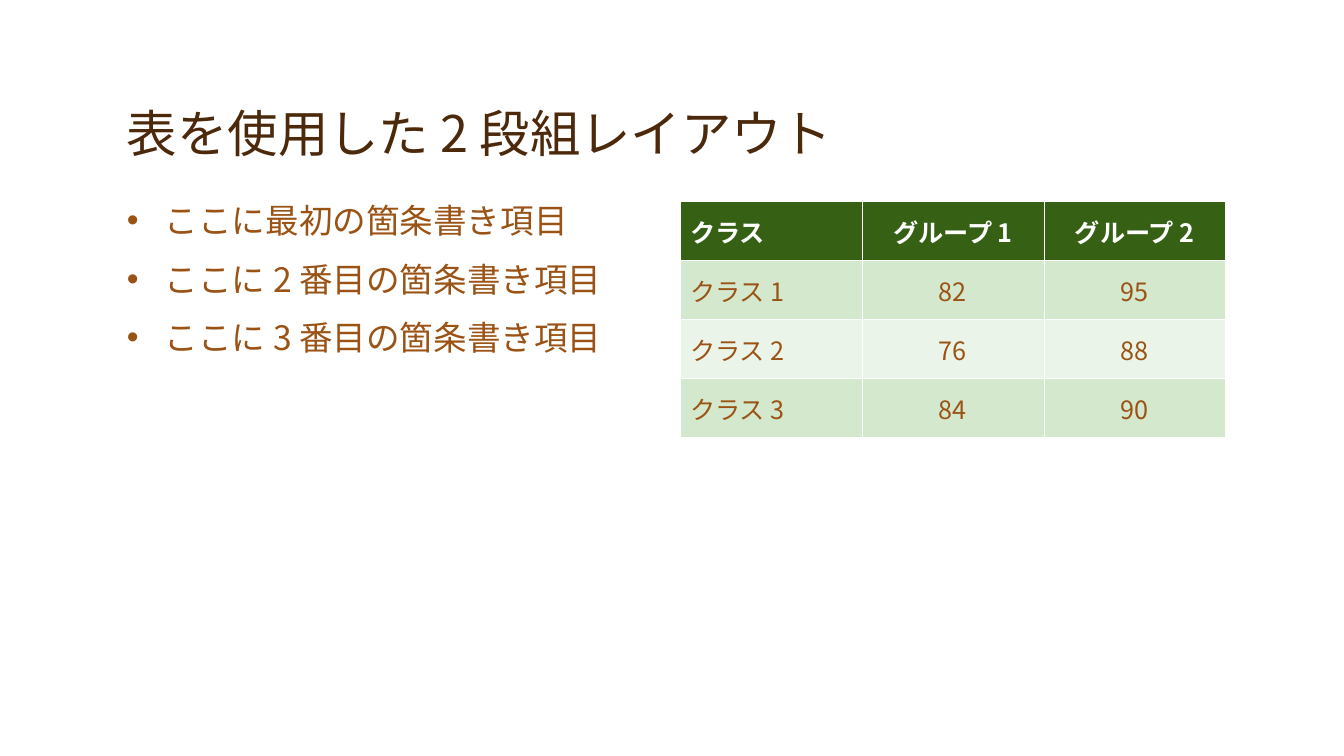
from lxml.etree import SubElement
from pptx import Presentation
from pptx.dml.color import RGBColor
from pptx.enum.text import MSO_ANCHOR, MSO_AUTO_SIZE, PP_ALIGN
from pptx.oxml.ns import qn
from pptx.util import Pt

FONT = "Noto Sans CJK JP"
DARK_BROWN = RGBColor(0x4D, 0x29, 0x0B)
BROWN = RGBColor(0x9A, 0x53, 0x15)
GREEN = RGBColor(0x36, 0x60, 0x13)
BAND_DARK = RGBColor(0xD4, 0xE8, 0xCD)
BAND_LIGHT = RGBColor(0xEB, 0xF4, 0xE8)
WHITE = RGBColor(0xFF, 0xFF, 0xFF)

TITLE = "表を使用した 2 段組レイアウト"
BULLETS = [
    "ここに最初の箇条書き項目",
    "ここに 2 番目の箇条書き項目",
    "ここに 3 番目の箇条書き項目",
]
SCORES = [
    ["クラス", "グループ 1", "グループ 2"],
    ["クラス 1", "82", "95"],
    ["クラス 2", "76", "88"],
    ["クラス 3", "84", "90"],
]


def set_attrs(obj, values):
    for name, value in values.items():
        setattr(obj, name, value)


def place(sp, left, top, width, height):
    set_attrs(sp, {"left": Pt(left), "top": Pt(top),
                   "width": Pt(width), "height": Pt(height)})


def write(p, text, size, color, bold=False, **paragraph_format):
    """Put one formatted run in the paragraph."""
    set_attrs(p, paragraph_format)
    r = p.add_run()
    r.text = text
    set_attrs(r.font, {"name": FONT, "size": Pt(size), "bold": bold})
    r.font.color.rgb = color
    rPr = r.font._element
    rPr.set("lang", "ja-JP")
    SubElement(rPr, qn("a:ea"), typeface=FONT)


def add_title(s):
    sp = s.shapes.title
    place(sp, 83.5, 24, 792, 96)
    set_attrs(sp.text_frame, {"vertical_anchor": MSO_ANCHOR.BOTTOM,
                              "auto_size": MSO_AUTO_SIZE.NONE})
    write(sp.text_frame.paragraphs[0], TITLE, 36, DARK_BROWN,
          alignment=PP_ALIGN.LEFT, line_spacing=0.9)


def add_bullets(s):
    sp = s.placeholders[1]
    place(sp, 83.5, 144, 390, 330)
    tf = sp.text_frame
    tf.auto_size = MSO_AUTO_SIZE.NONE
    for i, text in enumerate(BULLETS):
        p = tf.add_paragraph() if i else tf.paragraphs[0]
        write(p, text, 24, BROWN, space_before=Pt(18), line_spacing=0.83)
        pPr = p._p.get_or_add_pPr()
        pPr.set("marL", str(Pt(27)))
        pPr.set("indent", str(-Pt(27)))
        SubElement(pPr, qn("a:buChar"), char="•")


def set_borders(cell, widths):
    """Draw white cell borders; widths go left, right, top, bottom."""
    tcPr = cell._tc.get_or_add_tcPr()
    for i, (side, width) in enumerate(zip("LRTB", widths)):
        ln = tcPr.makeelement(qn(f"a:ln{side}"), {"w": str(Pt(width))})
        fill = SubElement(ln, qn("a:solidFill"))
        SubElement(fill, qn("a:srgbClr"), val=str(WHITE))
        tcPr.insert(i, ln)


def add_score_table(s):
    rows, cols = len(SCORES), len(SCORES[0])
    table = s.shapes.add_table(rows, cols, Pt(486), Pt(144),
                               Pt(390), Pt(168.6)).table
    for i, values in enumerate(SCORES):
        header = i == 0
        fill = GREEN if header else BAND_DARK if i % 2 else BAND_LIGHT
        top = 1.47 if i == 1 else 0.45
        bottom = 1.47 if header else 0.45
        for j, text in enumerate(values):
            cell = table.cell(i, j)
            cell.vertical_anchor = MSO_ANCHOR.MIDDLE
            cell.fill.solid()
            cell.fill.fore_color.rgb = fill
            set_borders(cell, (0.45, 0.45, top, bottom))
            write(cell.text_frame.paragraphs[0], text, 18,
                  WHITE if header else BROWN, bold=header,
                  alignment=PP_ALIGN.CENTER if j else PP_ALIGN.LEFT)


def main():
    prs = Presentation()
    set_attrs(prs, {"slide_width": Pt(960.5), "slide_height": Pt(540)})
    s = prs.slides.add_slide(prs.slide_layouts[1])
    add_title(s)
    add_bullets(s)
    add_score_table(s)
    prs.save("out.pptx")


if __name__ == "__main__":
    main()
